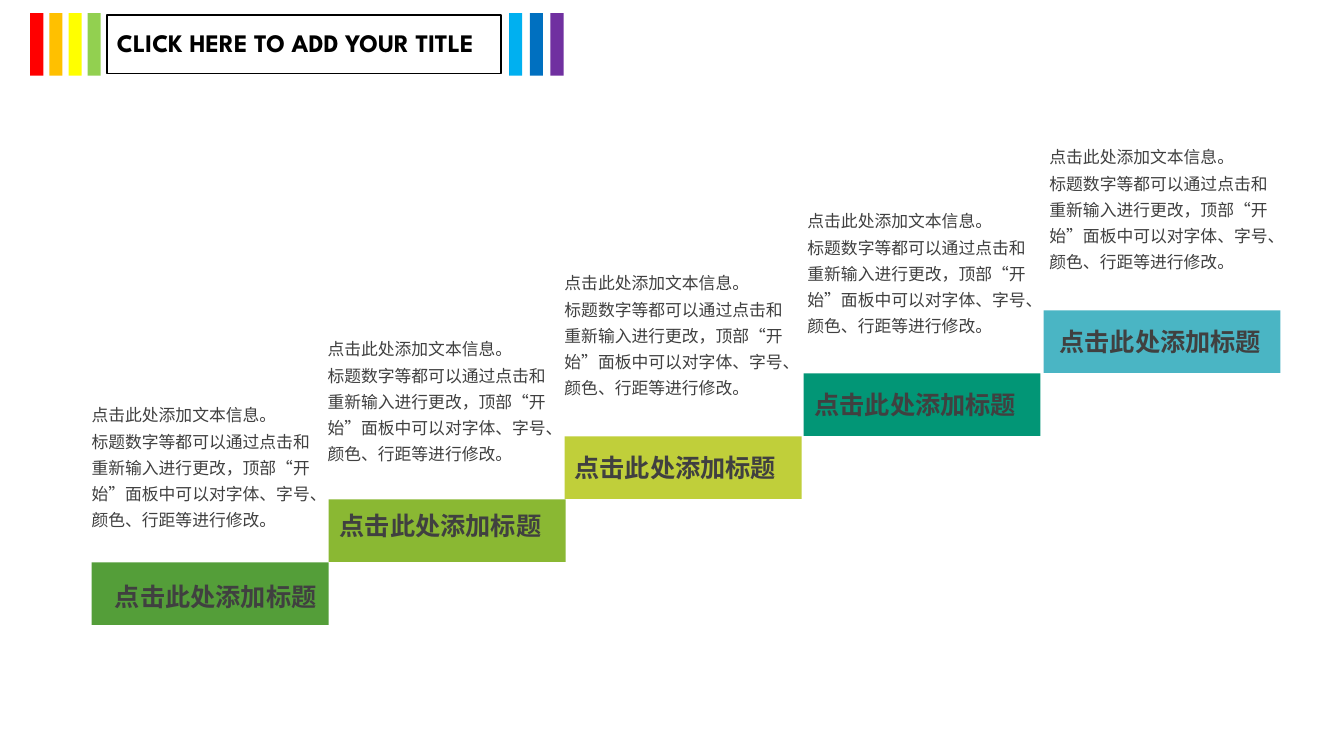
from dataclasses import dataclass

from lxml.etree import SubElement
from pptx import Presentation
from pptx.dml.color import RGBColor
from pptx.enum.shapes import MSO_SHAPE
from pptx.enum.text import MSO_ANCHOR, MSO_AUTO_SIZE, PP_ALIGN
from pptx.oxml.ns import qn
from pptx.util import Inches, Pt


@dataclass(frozen=True)
class Theme:
    """Colours, fonts and type sizes of the slide."""
    title_font: str = "League Spartan"
    body_font: str = "Noto Sans CJK SC"
    title_size: int = 18
    label_size: int = 18
    body_size: int = 12
    black: str = "000000"
    text: str = "404040"
    left_bars: tuple = ("FF0000", "FFC000", "FFFF00", "92D050")
    right_bars: tuple = ("00B0F0", "0070C0", "7030A0")
    steps: tuple = ("549E39", "8AB833", "C0CF3A", "029676", "4AB5C4")


THEME = Theme()
STEP_WIDTH, STEP_HEIGHT = 2.35, 0.62
STEP_LEFTS = (0.91, 3.26, 5.6, 7.97, 10.35)
STEP_RISE = 0.625
LABEL_OFFSETS = ((0.13, 0.14), (0.01, 0.06), (0, 0.11), (0.01, 0.11), (0.06, 0.11))
BODY_OFFSETS = ((-0.1, -1.67), (-0.11, -1.7), (-0.1, -1.73), (-0.06, -1.72), (-0.04, -1.73))
LABEL = "点击此处添加标题"
BODY = (
    "点击此处添加文本信息。",
    "标题数字等都可以通过点击和重新输入进行更改，顶部“开始”面板中可以对字体、字号、颜色、行距等进行修改。",
)


def add_rectangle(slide, left, top, width, height, color):
    """Add a plain filled rectangle."""
    shape = slide.shapes.add_shape(
        MSO_SHAPE.RECTANGLE, Inches(left), Inches(top), Inches(width), Inches(height))
    shape.shadow.inherit = False
    shape.fill.solid()
    shape.fill.fore_color.rgb = RGBColor.from_string(color)
    shape.line.fill.background()


def add_run(paragraph, text, font_name, size, color, bold=False):
    """Add one run with the same font for Latin and East Asian text."""
    run = paragraph.add_run()
    run.text = text
    for name, value in {"name": font_name, "size": Pt(size), "bold": bold}.items():
        setattr(run.font, name, value)
    run.font.color.rgb = RGBColor.from_string(color)
    SubElement(run.font._element, qn("a:ea"), typeface=font_name)


def add_text(slide, left, top, width, height, lines, size, spacing, bold=False):
    """Add a wrapped text box with one paragraph for each line."""
    box = slide.shapes.add_textbox(Inches(left), Inches(top), Inches(width), Inches(height))
    frame = box.text_frame
    frame.word_wrap = True
    frame.auto_size = MSO_AUTO_SIZE.SHAPE_TO_FIT_TEXT
    for index, line in enumerate(lines):
        paragraph = frame.add_paragraph() if index else frame.paragraphs[0]
        paragraph.line_spacing = spacing
        add_run(paragraph, line, THEME.body_font, size, THEME.text, bold)


def add_header(slide, left, top):
    """Place the framed title between two groups of rainbow bars."""
    for offset, pitch, colors in ((0, 0.19, THEME.left_bars), (4.75, 0.205, THEME.right_bars)):
        for index, color in enumerate(colors):
            add_rectangle(slide, left + offset + index * pitch, top, 0.13, 0.62, color)

    title = slide.shapes.title
    position = {"left": left + 0.76, "top": top + 0.02, "width": 3.91, "height": 0.58}
    for name, value in position.items():
        setattr(title, name, Inches(value))
    title.line.color.rgb = RGBColor.from_string(THEME.black)
    title.line.width = Pt(1)
    frame = title.text_frame
    settings = {"word_wrap": True, "auto_size": MSO_AUTO_SIZE.NONE,
                "vertical_anchor": MSO_ANCHOR.MIDDLE}
    for name, value in settings.items():
        setattr(frame, name, value)
    paragraph = frame.paragraphs[0]
    paragraph.alignment = PP_ALIGN.LEFT
    paragraph.line_spacing = 0.9
    add_run(paragraph, "CLICK HERE TO ADD YOUR TITLE", THEME.title_font,
            THEME.title_size, THEME.black, True)


def add_step(slide, left, top, color, label_offset, body_offset):
    """Place one stair step with its label and the text above it."""
    add_rectangle(slide, left, top, STEP_WIDTH, STEP_HEIGHT, color)
    add_text(slide, left + body_offset[0], top + body_offset[1], 2.41, 1.41,
             BODY, THEME.body_size, 1.3)
    add_text(slide, left + label_offset[0], top + label_offset[1], 2.32, 0.4,
             [LABEL], THEME.label_size, 1.0, True)


def main():
    """Build and save the staircase slide."""
    presentation = Presentation()
    presentation.slide_width = Inches(13.33)
    presentation.slide_height = Inches(7.5)
    slide = presentation.slides.add_slide(presentation.slide_layouts[5])
    add_header(slide, 0.3, 0.13)
    steps = zip(STEP_LEFTS, THEME.steps, LABEL_OFFSETS, BODY_OFFSETS)
    for index, (left, color, label_offset, body_offset) in enumerate(steps):
        add_step(slide, left, 5.58 - index * STEP_RISE, color, label_offset, body_offset)
    presentation.save("out.pptx")


if __name__ == "__main__":
    main()
